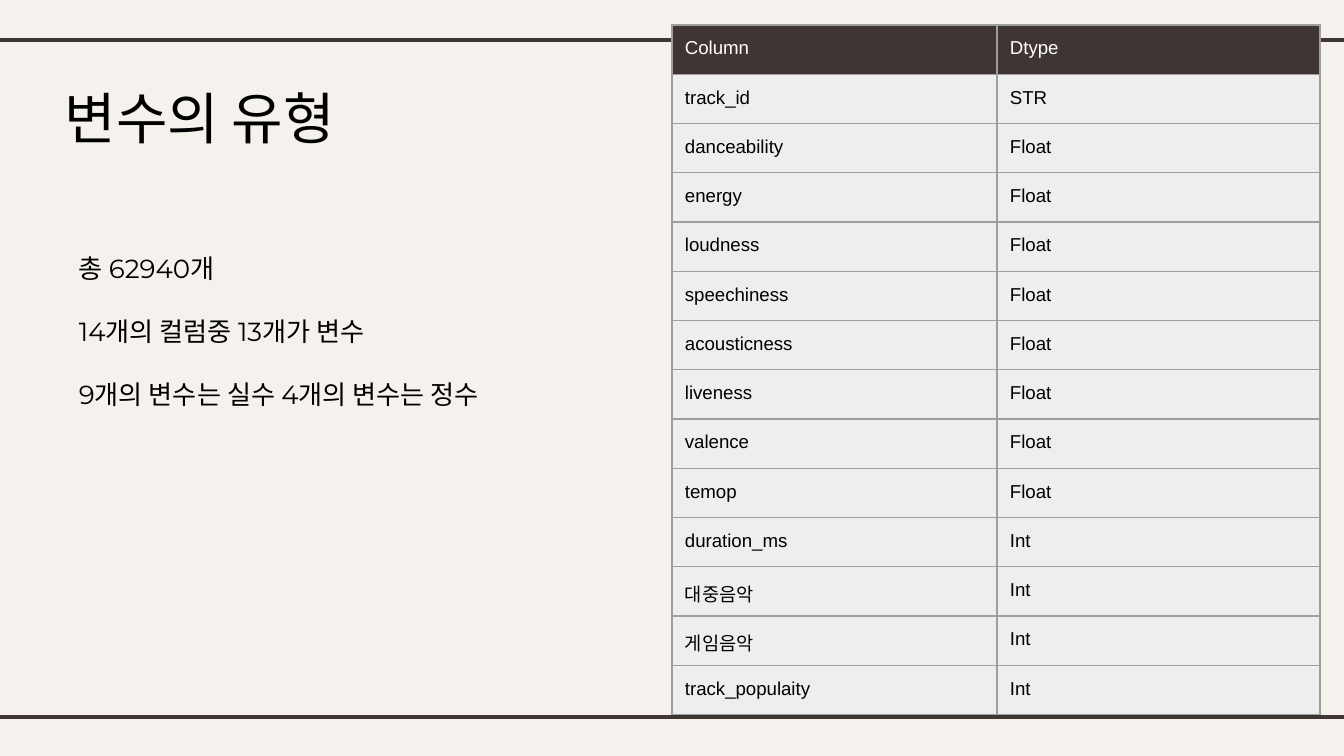
"""Build a slide listing the columns of a music data set and their types."""
from lxml import etree
from pptx import Presentation
from pptx import util as u
from pptx.dml.color import RGBColor
from pptx.enum import shapes, text
from pptx.oxml.ns import qn

SCALE = 914400 / 134.4
COLORS = {"paper": "F5F2EE", "dark": "3F3533", "cell": "EEEEEE",
          "border": "9E9E9E", "black": "000000", "white": "FFFFFF"}
INSET = 13


def px(value):
    return u.Emu(round(value * SCALE))


def write(frame, lines, size, font, color, gap=0):
    frame.word_wrap = True
    frame.margin_left = frame.margin_right = px(INSET)
    frame.margin_top = frame.margin_bottom = px(INSET)
    frame.text = "\n".join(lines)
    for index, para in enumerate(frame.paragraphs):
        para.space_before = u.Pt(gap if index else 0)
        for span in para.runs:
            span.font.size = u.Pt(size)
            span.font.name = font
            span.font.bold = False
            span.font.color.rgb = RGBColor.from_string(COLORS[color])


deck = Presentation()
deck.slide_width, deck.slide_height = px(1344), px(756)
page = deck.slides.add_slide(deck.slide_layouts[6])
page.background.fill.solid()
page.background.fill.fore_color.rgb = RGBColor.from_string(COLORS["paper"])

for y in (40, 717):
    rule = page.shapes.add_connector(
        shapes.MSO_CONNECTOR.STRAIGHT, px(-11), px(y), px(1355), px(y))
    rule.line.width = u.Pt(2.25)
    rule.line.color.rgb = RGBColor.from_string(COLORS["dark"])
    etree.SubElement(rule._element.spPr, qn("a:effectLst"))

title = page.shapes.add_textbox(px(52), px(71), px(786), px(85))
write(title.text_frame, ["변수의 유형"], 30, "Arial", "black")

facts = ["총 62940개", "14개의 컬럼중 13개가 변수", "9개의 변수는 실수 4개의 변수는 정수"]
summary = page.shapes.add_textbox(px(66), px(239), px(474), px(185))
write(summary.text_frame, facts, 14, "Montserrat", "black", gap=17)
summary.text_frame.auto_size = text.MSO_AUTO_SIZE.SHAPE_TO_FIT_TEXT

floats = ["danceability", "energy", "loudness", "speechiness", "acousticness",
          "liveness", "valence", "temop"]
integers = ["duration_ms", "대중음악", "게임음악", "track_populaity"]
rows = [("Column", "Dtype"), ("track_id", "STR")]
rows += [(name, "Float") for name in floats]
rows += [(name, "Int") for name in integers]

table = page.shapes.add_table(
    len(rows), 2, px(672), px(25), px(648), px(690)).table
table.first_row = table.horz_banding = False
for column, width in zip(table.columns, (325, 323)):
    column.width = px(width)

for row_index, values in enumerate(rows):
    table.rows[row_index].height = px(690 / len(rows))
    fill, ink = ("cell", "black") if row_index else ("dark", "white")
    for column_index, value in enumerate(values):
        cell = table.cell(row_index, column_index)
        write(cell.text_frame, [value], 10, "Arial", ink)
        cell.margin_left = cell.margin_right = px(INSET)
        cell.margin_top = cell.margin_bottom = px(INSET)
        properties = cell._tc.get_or_add_tcPr()
        for side in ("lnL", "lnR", "lnT", "lnB"):
            edge = etree.SubElement(
                properties, qn(f"a:{side}"), w=str(u.Pt(0.75)))
            paint = etree.SubElement(edge, qn("a:solidFill"))
            etree.SubElement(paint, qn("a:srgbClr"), val=COLORS["border"])
        cell.fill.solid()
        cell.fill.fore_color.rgb = RGBColor.from_string(COLORS[fill])

deck.save("out.pptx")
